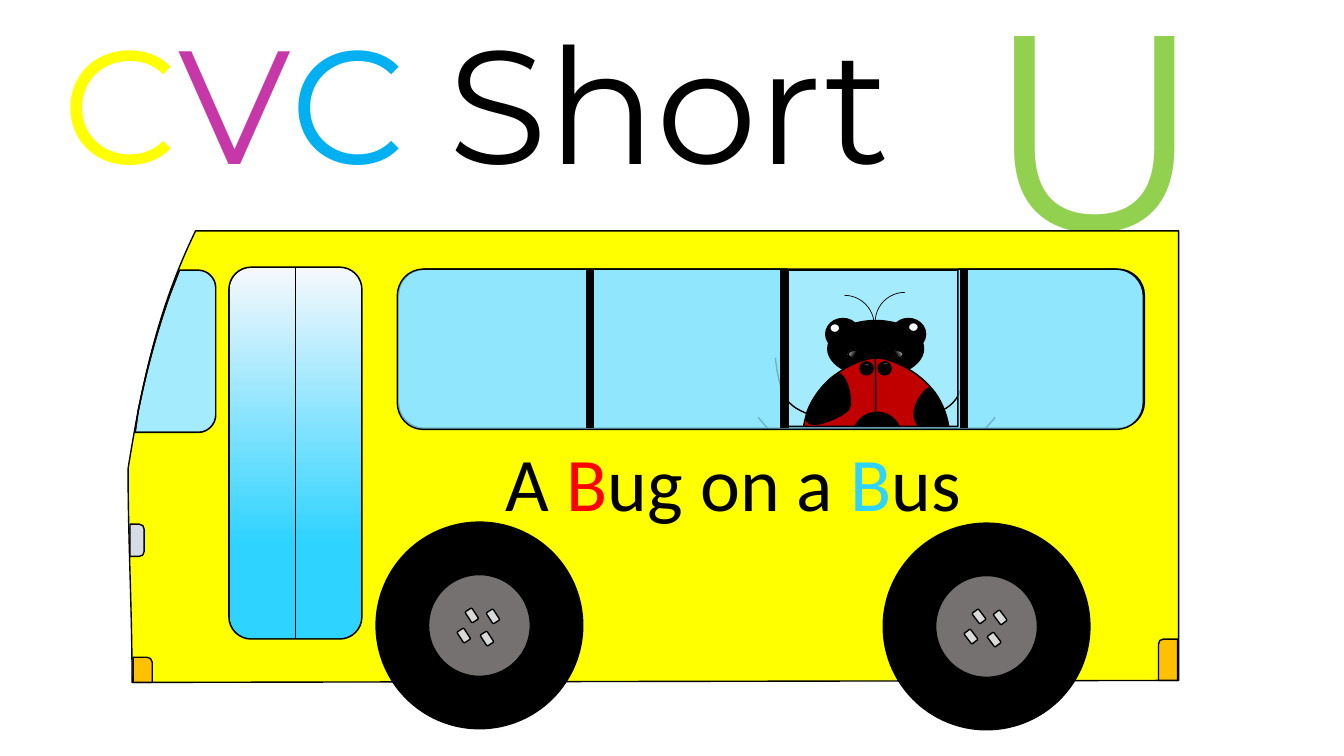
"""Builds the short U reading slide: a ladybird riding on a yellow bus."""
from lxml import etree
from pptx import Presentation
from pptx.dml.color import RGBColor
from pptx.enum.shapes import MSO_CONNECTOR, MSO_SHAPE
from pptx.enum.text import MSO_AUTO_SIZE, PP_ALIGN
from pptx.oxml.ns import qn
from pptx.util import Cm, Pt

STRAIGHT = MSO_CONNECTOR.STRAIGHT
RECTANGLE, OVAL, ARC = MSO_SHAPE.RECTANGLE, MSO_SHAPE.OVAL, MSO_SHAPE.ARC
ROUNDED = MSO_SHAPE.ROUNDED_RECTANGLE
LEFT, CENTER = PP_ALIGN.LEFT, PP_ALIGN.CENTER
FIT = MSO_AUTO_SIZE.SHAPE_TO_FIT_TEXT

BLACK = RGBColor(0x00, 0x00, 0x00)
WHITE = RGBColor(0xFF, 0xFF, 0xFF)
YELLOW = RGBColor(0xFF, 0xFF, 0x00)
PURPLE = RGBColor(0xC6, 0x38, 0xA8)
BLUE = RGBColor(0x00, 0xB0, 0xF0)
GREEN = RGBColor(0x92, 0xD0, 0x50)
RED = RGBColor(0xFF, 0x00, 0x00)
SKY = RGBColor(0x2F, 0xD3, 0xFF)
GLASS = RGBColor(0x8B, 0xE6, 0xFD)
FROST = RGBColor(0xF6, 0xF8, 0xFC)
WING = RGBColor(0xC0, 0x00, 0x00)
LAMP = RGBColor(0xD6, 0xDC, 0xE5)
AMBER = RGBColor(0xFF, 0xC0, 0x00)
HUB = RGBColor(0x76, 0x71, 0x71)
NUT = RGBColor(0xD9, 0xD9, 0xD9)

SLIDE = (13.33, 7.5)
TITLE = [("C", YELLOW), ("V", PURPLE), ("C ", BLUE), ("Short", BLACK)]
VOWEL = [("U", GREEN)]
CAPTION = [("A ", BLACK), ("B", RED), ("ug on a ", BLACK), ("B", SKY), ("us", BLACK)]

# outlines: first the start, then (x, y) lines and six-number curves
LEGS = [
    (17.39, [(8.21, 4.42), (8.1, 4.48, 8, 4.54, 7.89, 4.49),
             (7.77, 4.45, 7.52, 4.14, 7.52, 4.14)]),
    (17.28, [(8.11, 4.14), (7.99, 4.1, 7.87, 4.06, 7.8, 3.96),
             (7.72, 3.86, 7.69, 3.55, 7.69, 3.55)]),
]
WINGS = (17.38, [(7.96, 4.37), (7.96, 3.67, 8.71, 3.51, 8.7, 3.56),
                 (8.69, 3.61, 8.7, 5.12, 8.7, 5.18),
                 (8.71, 5.23, 7.97, 5.07, 7.96, 4.37)])
SPOTS = [
    [(9.08, 4.18), (9.02, 4.05, 9.16, 3.87, 9.21, 3.85),
     (9.25, 3.83, 9.33, 3.98, 9.36, 4.06), (9.39, 4.14, 9.43, 4.31, 9.4, 4.32),
     (9.37, 4.34, 9.13, 4.31, 9.08, 4.18)],
    [(8.42, 4.06), (8.37, 4.13, 8.02, 4.29, 8, 4.16),
     (7.97, 4.04, 8.21, 3.75, 8.3, 3.71), (8.39, 3.67, 8.47, 3.98, 8.42, 4.06)],
]
ANTENNAE = [((8.68, 2.9, 0.59, 0.59), 270), ((8.08, 2.93, 0.59, 0.59), 0)]
HEAD = (8.21, 3.18, 0.95, 0.56)
OVALS = [
    ((8.46, 4.09, 0.48, 0.48), BLACK), ((8.84, 3.16, 0.34, 0.31), BLACK),
    ((8.19, 3.16, 0.34, 0.31), BLACK), ((8.53, 3.59, 0.13, 0.13), BLACK),
    ((8.71, 3.59, 0.13, 0.13), BLACK), ((9.01, 3.2, 0.1, 0.09), WHITE),
    ((8.23, 3.21, 0.1, 0.09), WHITE),
]
SHINES = [
    ((8.74, 3.47, 0.22, 0.09), 0, 210), ((8.41, 3.47, 0.22, 0.09), 0, 330),
    ((8.73, 3.6, 0.1, 0.08), 295.3, 210), ((8.55, 3.61, 0.1, 0.08), 64.7, 330),
]
WINDSCREEN = [(1.78, 2.68), (1.97, 2.68), (2.06, 2.68, 2.14, 2.76, 2.14, 2.85),
              (2.14, 4.12), (2.14, 4.21, 2.06, 4.29, 1.97, 4.29), (1.34, 4.29),
              (1.37, 4.08), (1.45, 3.69, 1.55, 3.3, 1.69, 2.91), (1.78, 2.68)]
BODY = [(1.94, 2.29), (11.69, 2.29), (11.69, 6.75), (1.31, 6.77),
        (1.31, 6.04, 1.27, 5.37, 1.27, 4.65), (1.4, 3.84, 1.56, 3.07, 1.94, 2.29)]
LAMPS = [
    (LAMP, [(1.29, 5.2), (1.38, 5.2), (1.41, 5.2, 1.43, 5.22, 1.43, 5.25),
            (1.43, 5.47), (1.43, 5.5, 1.41, 5.52, 1.38, 5.52), (1.29, 5.52)]),
    (AMBER, [(11.54, 6.34), (11.68, 6.34), (11.68, 6.75), (11.49, 6.75),
             (11.49, 6.39), (11.49, 6.36, 11.51, 6.34, 11.54, 6.34)]),
    (AMBER, [(1.32, 6.52), (1.46, 6.52), (1.48, 6.52, 1.51, 6.54, 1.51, 6.57),
             (1.51, 6.77), (1.32, 6.77)]),
]
PANES = [(4.2, 2.67), (7.81, 2.67), (7.81, 4.23), (9.5, 4.23), (9.5, 2.67),
         (11.07, 2.67), (11.22, 2.67, 11.34, 2.79, 11.34, 2.94), (11.34, 3.99),
         (11.34, 4.14, 11.22, 4.26, 11.07, 4.26), (4.2, 4.26),
         (4.05, 4.26, 3.94, 4.14, 3.94, 3.99), (3.94, 2.94),
         (3.94, 2.79, 4.05, 2.67, 4.2, 2.67)]
WHEELS = [(3.73, 5.18, 326.9), (8.76, 5.19, 322.9)]
NUTS = [(1.12, 0.87), (0.91, 0.86), (0.83, 1.06), (1.06, 1.09)]
BARS = [5.85, 7.78, 9.56]


def length(inches):
    return Cm(inches * 2.54)


def rounded(left, top, right, bottom, radius):
    bend = radius * 0.45
    return [
        (left + radius, top), (right - radius, top),
        (right - bend, top, right, top + bend, right, top + radius),
        (right, bottom - radius),
        (right, bottom - bend, right - bend, bottom, right - radius, bottom),
        (left + radius, bottom),
        (left + bend, bottom, left, bottom - bend, left, bottom - radius),
        (left, top + radius),
        (left, top + bend, left + bend, top, left + radius, top)]


def mirrored(outline, doubled_axis):
    return [tuple(doubled_axis - value if index % 2 == 0 else value
                  for index, value in enumerate(step)) for step in outline]


def paint(shape, fill=None, line=BLACK, width=1, alpha=None):
    shape.shadow.inherit = False
    shape.line.color.rgb = line
    shape.line.width = Pt(width)
    if fill is None:
        shape.fill.background()
        return
    shape.fill.solid()
    shape.fill.fore_color.rgb = fill
    if alpha:
        color = shape._element.spPr.find(qn("a:solidFill"))[0]
        etree.SubElement(color, qn("a:alpha")).set("val", str(alpha * 1000))


def blend(shape, first, last, end, angle):
    shape.fill.gradient()
    shape.fill.gradient_angle = angle
    for stop, color, position in zip(shape.fill.gradient_stops, (first, last), (0, end)):
        stop.color.rgb = color
        stop.position = position


def bend_lines(shape, outlines):
    lines = iter(list(shape._element.spPr.iter(qn("a:lnTo"))))
    for step in (step for outline in outlines for step in outline[1:]):
        legs = [next(lines) for _ in range(len(step) // 2)]
        if len(legs) == 3:
            curve = etree.Element(qn("a:cubicBezTo"))
            legs[0].addprevious(curve)
            for leg in legs:
                curve.append(leg[0])
                leg.getparent().remove(leg)


def add_outline(shapes, outlines, fill=None, alpha=None):
    builder = None
    for outline in outlines:
        start, *rest = [(length(step[i]), length(step[i + 1]))
                        for step in outline for i in range(0, len(step), 2)]
        if builder is None:
            builder = shapes.build_freeform(*start, scale=1.0)
        else:
            builder.move_to(*start)
        builder.add_line_segments(rest, close=fill is not None)
    shape = builder.convert_to_shape()
    bend_lines(shape, outlines)
    paint(shape, fill, alpha=alpha)
    return shape


def add_preset(shapes, kind, place, fill=None, turn=0, line=BLACK, width=1):
    shape = shapes.add_shape(kind, *map(length, place))
    shape.rotation = turn
    paint(shape, fill, line, width)
    return shape


def add_line(shapes, start, end, width):
    line = shapes.add_connector(STRAIGHT, *map(length, start + end))
    line.line.color.rgb = BLACK
    line.line.width = Pt(width)
    etree.SubElement(line._element.spPr, qn("a:effectLst"))


def add_text(shapes, place, spans, font, size, align=LEFT, wrap=False):
    box = shapes.add_textbox(*map(length, place))
    box.text_frame.word_wrap = wrap
    box.text_frame.auto_size = FIT
    para = box.text_frame.paragraphs[0]
    para.alignment = align
    for words, color in spans:
        span = para.add_run()
        span.text = words
        span.font.name, span.font.size = font, Pt(size)
        span.font.color.rgb = color


def draw_bug(shapes):
    for axis, leg in LEGS:
        add_outline(shapes, [leg])
        add_outline(shapes, [mirrored(leg, axis)])
    for place, turn in ANTENNAE:
        add_preset(shapes, ARC, place, turn=turn, width=0.5)
    add_preset(shapes, OVAL, HEAD, BLACK)
    axis, wing = WINGS
    for outline in (wing, mirrored(wing, axis)):
        add_outline(shapes, [outline], WING)
    for place, fill in OVALS:
        add_preset(shapes, OVAL, place, fill)
    for spot in SPOTS:
        add_outline(shapes, [spot], BLACK)
    for place, turn, angle in SHINES:
        blend(add_preset(shapes, OVAL, place, BLACK, turn), WHITE, BLACK, 0.38, angle)


def draw_bus(shapes):
    window = rounded(3.95, 2.67, 11.35, 4.25, 0.26)
    door = rounded(2.27, 2.65, 3.59, 6.34, 0.22)
    add_outline(shapes, [window], GLASS, 78)
    draw_bug(shapes)
    blend(add_outline(shapes, [door], SKY), FROST, SKY, 0.74, 270)
    add_outline(shapes, [WINDSCREEN], GLASS, 78)
    add_outline(shapes, [BODY, door, window, WINDSCREEN], YELLOW)
    for fill, lamp in LAMPS:
        add_outline(shapes, [lamp], fill)
    for left, top, turn in WHEELS:
        add_preset(shapes, OVAL, (left, top, 2.05, 2.05), BLACK, turn)
        add_preset(shapes, OVAL, (left + 0.52, top + 0.52, 1.01, 1.01), HUB, turn)
        for across, down in NUTS:
            add_preset(shapes, ROUNDED, (left + across, top + down, 0.08, 0.13), NUT, turn)
    add_line(shapes, (2.93, 2.65), (2.93, 6.34), 0.5)
    add_line(shapes, (7.81, 2.68), (9.5, 2.68), 1)
    add_outline(shapes, [PANES], GLASS, 78)
    for x in BARS:
        add_line(shapes, (x, 2.68), (x, 4.25), 6)


def main():
    deck = Presentation()
    deck.slide_width, deck.slide_height = map(length, SLIDE)
    page = deck.slides.add_slide(deck.slide_layouts[6])
    add_preset(page.shapes, RECTANGLE, (0, 0) + SLIDE, WHITE, line=WHITE)
    add_text(page.shapes, (0, -0.01, 9.45, 2.04), TITLE, "Montserrat", 115, CENTER, True)
    add_text(page.shapes, (9.67, -0.52, 2.76, 3.45), VOWEL, "Montserrat", 199)
    draw_bus(page.shapes.add_group_shape().shapes)
    add_text(page.shapes, (4.92, 4.28, 4.72, 1.01), CAPTION, "Calibri", 54)
    deck.save("out.pptx")


if __name__ == "__main__":
    main()
